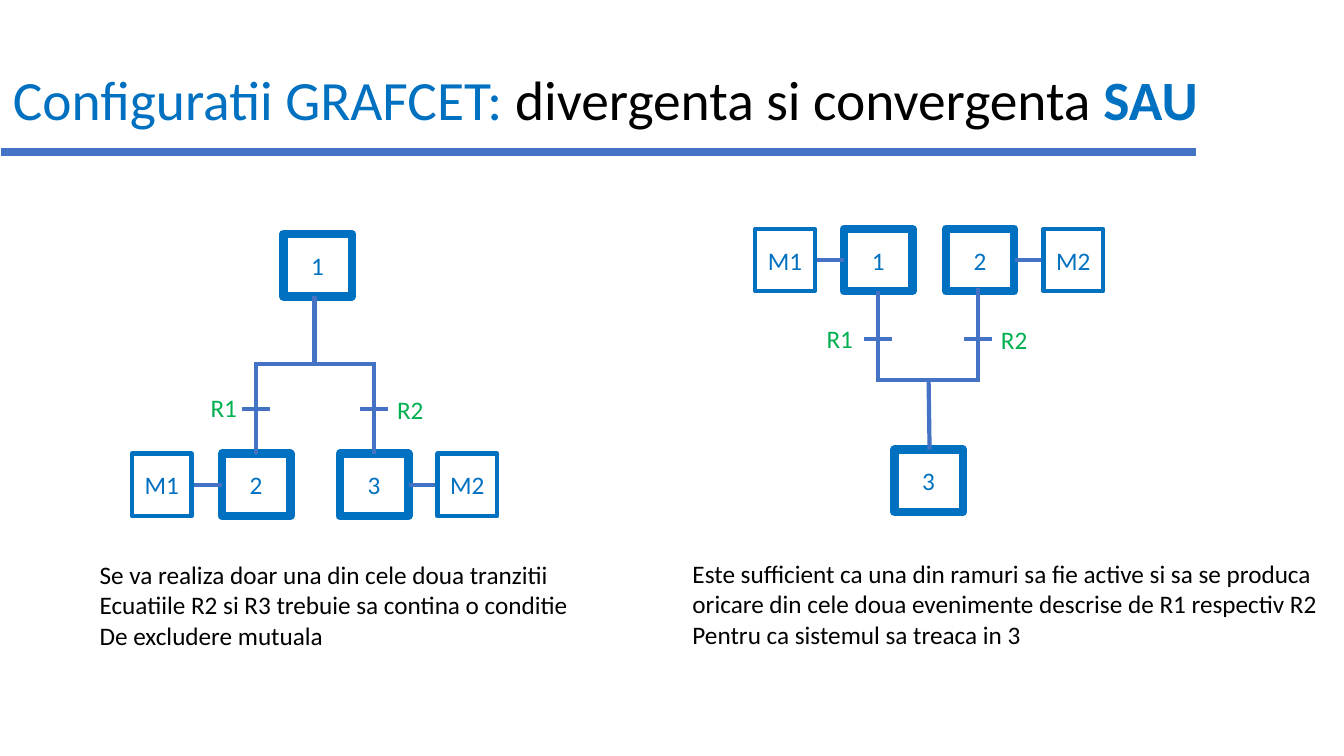
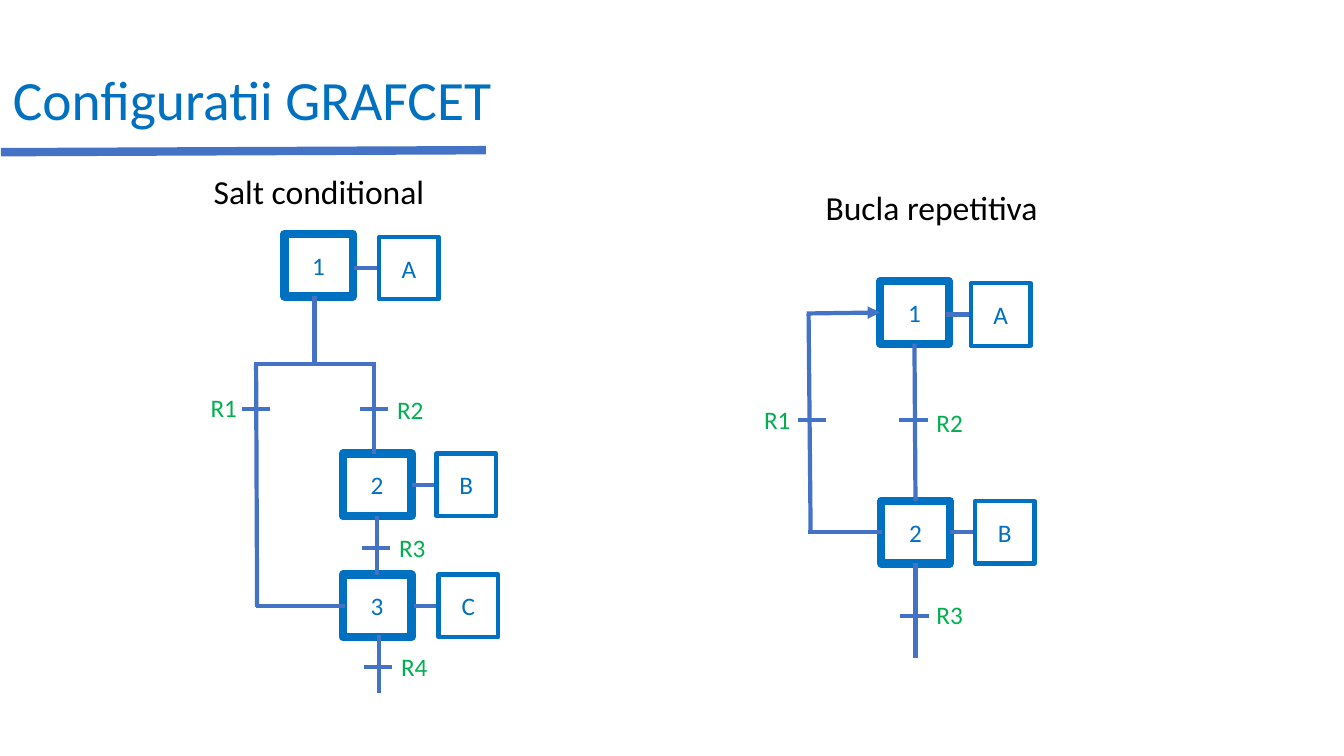
"""Build two slides on GRAFCET configurations: OR branching, conditional jump and loop."""
from lxml.etree import SubElement
from pptx import Presentation
from pptx.dml.color import RGBColor
from pptx.enum.shapes import MSO_CONNECTOR as Connector, MSO_SHAPE as Shape
from pptx.enum.text import MSO_ANCHOR as Anchor, PP_ALIGN as Align
from pptx.oxml.ns import qn
from pptx.util import Inches, Pt

FONT = "Calibri"
BLUE, LINK, GREEN, BLACK, WHITE = "0070C0", "4472C4", "00B050", "000000", "FFFFFF"
STEP_WIDTH, ACTION_WIDTH, BOX_HEIGHT = 0.68, 0.59, 0.62
TICK = 0.28
color = RGBColor.from_string

boards = [
    {
        "title": [("Configuratii GRAFCET: ", BLUE, False),
                  ("divergenta si convergenta ", BLACK, False), ("SAU", BLUE, True)],
        "underline": (0.01, 1.51, 11.86, 1.51),
        "steps": [("1", 2.81, 2.32), ("2", 2.2, 4.5), ("3", 3.37, 4.5),
                  ("1", 8.37, 2.27), ("2", 9.38, 2.27), ("3", 8.87, 4.46)],
        "actions": [("M1", 1.31, 4.5, 2.2), ("M2", 4.34, 4.5, 4.06),
                    ("M1", 7.49, 2.27, 8.37), ("M2", 10.35, 2.27, 10.07)],
        "links": [(3.12, 2.94, 3.12, 3.61), (2.52, 3.61, 3.73, 3.61),
                  (2.54, 3.61, 2.54, 4.5), (3.71, 3.61, 3.71, 4.5),
                  (8.71, 2.89, 8.71, 3.77), (9.7, 2.86, 9.7, 3.75),
                  (8.69, 3.77, 9.72, 3.77), (9.21, 3.77, 9.22, 4.46)],
        "arrows": [],
        "transitions": [("R1", 2.54, 4.06, 1.99, 3.84), ("R2", 3.71, 4.06, 3.84, 3.86),
                        ("R1", 8.71, 3.36, 8.1, 3.16), ("R2", 9.7, 3.36, 9.83, 3.17)],
        "captions": [
            ("Se va realiza doar una din cele doua tranzitii\n"
             "Ecuatiile R2 si R3 trebuie sa contina o conditie\n"
             "De excludere mutuala", 0.89, 5.5, 4.96, 1.01, 18),
            ("Este sufficient ca una din ramuri sa fie active si sa se produca\n"
             "oricare din cele doua evenimente descrise de R1 respectiv R2\n"
             "Pentru ca sistemul sa treaca in 3", 6.77, 5.49, 6.63, 1.01, 18)],
    },
    {
        "title": [("Configuratii GRAFCET", BLUE, False)],
        "underline": (0.01, 1.51, 4.82, 1.49),
        "steps": [("1", 2.82, 2.32), ("2", 3.4, 4.5), ("3", 3.4, 5.7),
                  ("1", 8.73, 2.79), ("2", 8.74, 4.97)],
        "actions": [("A", 3.76, 2.35, 3.51), ("B", 4.33, 4.5, 4.09), ("C", 4.35, 5.7, 4.11),
                    ("A", 9.63, 2.81, 9.38), ("B", 9.67, 4.97, 9.42)],
        "links": [(3.12, 2.94, 3.12, 3.61), (2.52, 3.61, 3.73, 3.61),
                  (2.54, 3.61, 2.55, 6.02), (3.71, 3.61, 3.71, 4.5),
                  (2.54, 6.01, 3.42, 6.01), (3.74, 5.12, 3.74, 5.7),
                  (3.76, 6.3, 3.76, 6.88), (8.02, 3.12, 8.04, 5.27),
                  (9.07, 3.41, 9.08, 4.97), (8.01, 5.28, 8.75, 5.28),
                  (9.08, 5.59, 9.08, 6.53)],
        "arrows": [(8, 3.11, 8.73, 3.1)],
        "transitions": [("R1", 2.54, 4.06, 1.99, 3.84), ("R2", 3.71, 4.06, 3.84, 3.86),
                        ("R3", 3.73, 5.44, 3.86, 5.23), ("R4", 3.75, 6.62, 3.88, 6.41),
                        ("R1", 8.05, 4.17, 7.48, 3.96), ("R2", 9.06, 4.17, 9.19, 3.99),
                        ("R3", 9.07, 6.11, 9.19, 5.9)],
        "captions": [("Salt conditional", 2.02, 1.65, 2.31, 0.5, 24),
                     ("Bucla repetitiva", 8.09, 1.81, 2.33, 0.5, 24)],
    },
]


def draw_line(slide, ends, width=3):
    line = slide.shapes.add_connector(Connector.STRAIGHT, *map(Inches, ends))
    line.line.color.rgb = color(LINK)
    line.line.width = Pt(width)
    SubElement(line._element.spPr, qn("a:effectLst"))
    return line


def write(frame, text, size, ink, align=Align.LEFT):
    frame.text = text
    for paragraph in frame.paragraphs:
        paragraph.alignment = align
        for run in paragraph.runs:
            run.font.name, run.font.size = FONT, Pt(size)
            run.font.color.rgb = color(ink)


deck = Presentation()
deck.slide_width, deck.slide_height = Inches(13.33), Inches(7.5)

for board in boards:
    slide = deck.slides.add_slide(deck.slide_layouts[6])

    title = slide.shapes.add_textbox(*map(Inches, (0.03, 0.67, 12, 0.7))).text_frame
    title.word_wrap = True
    title.vertical_anchor = Anchor.MIDDLE
    title.paragraphs[0].line_spacing = 0.9
    for words, ink, bold in board["title"]:
        run = title.paragraphs[0].add_run()
        run.text = words
        run.font.name, run.font.size, run.font.bold = FONT, Pt(39.6), bold
        run.font.color.rgb = color(ink)
    draw_line(slide, board["underline"], 6)

    steps = [(*step, STEP_WIDTH, 6) for step in board["steps"]]
    actions = [(*action[:3], ACTION_WIDTH, 3) for action in board["actions"]]
    action_links = [(edge, top + BOX_HEIGHT / 2, left, top + BOX_HEIGHT / 2)
                    for _, left, top, edge in board["actions"]]
    ticks = [(x - TICK / 2, y, x + TICK / 2, y) for _, x, y, *_ in board["transitions"]]

    for boxes, links in ((steps, board["links"] + action_links), (actions, ticks)):
        for name, left, top, width, border in boxes:
            box = slide.shapes.add_shape(
                Shape.RECTANGLE, *map(Inches, (left, top, width, BOX_HEIGHT)))
            box.shadow.inherit = False
            box.fill.solid()
            box.fill.fore_color.rgb = color(WHITE)
            box.line.color.rgb = color(BLUE)
            box.line.width = Pt(border)
            box.text_frame.vertical_anchor = Anchor.MIDDLE
            write(box.text_frame, name, 18, BLUE, Align.CENTER)
        for ends in links:
            draw_line(slide, ends)

    for ends in board["arrows"]:
        arrow = draw_line(slide, ends)
        SubElement(arrow.line._get_or_add_ln(), qn("a:tailEnd"), type="triangle")

    for name, _, _, left, top in board["transitions"]:
        label = slide.shapes.add_textbox(*map(Inches, (left, top, 0.5, 0.4))).text_frame
        label.word_wrap = True
        write(label, name, 18, GREEN)

    for words, left, top, width, height, size in board["captions"]:
        caption = slide.shapes.add_textbox(*map(Inches, (left, top, width, height))).text_frame
        caption.word_wrap = False
        write(caption, words, size, BLACK)

deck.save("out.pptx")
